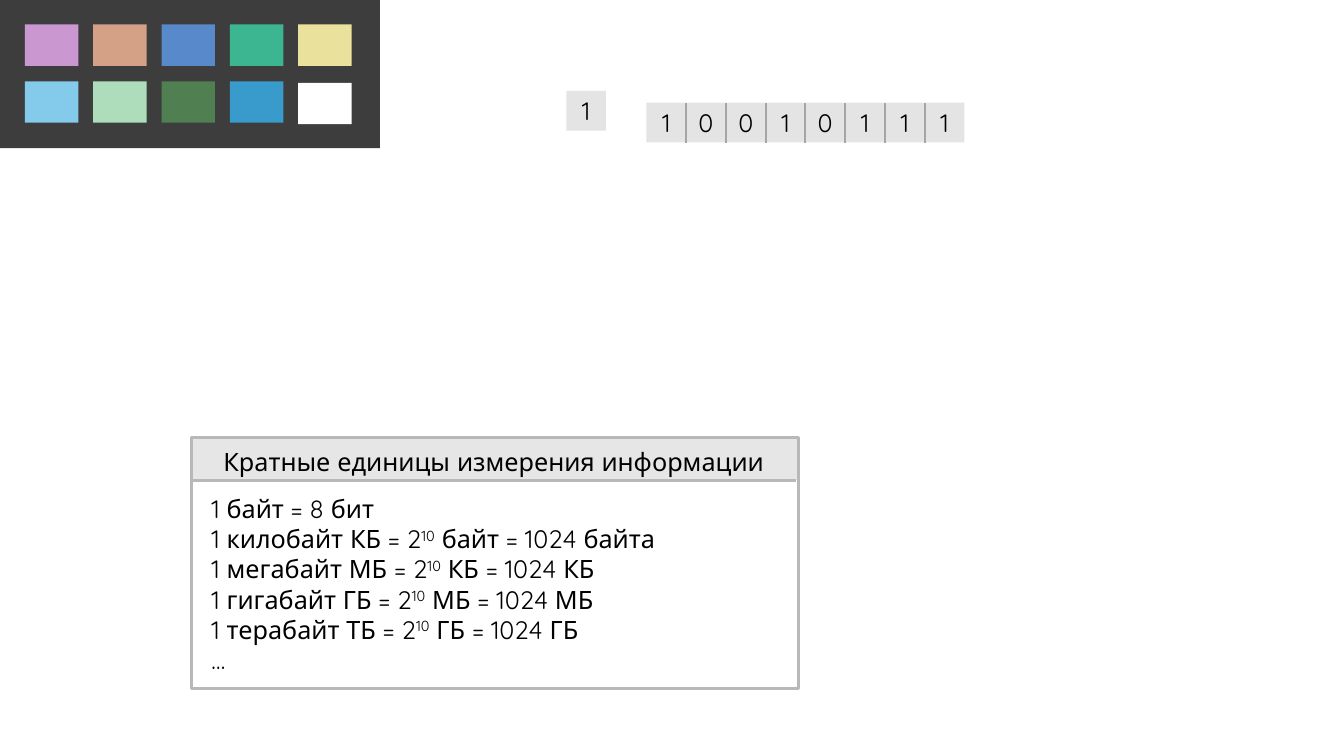
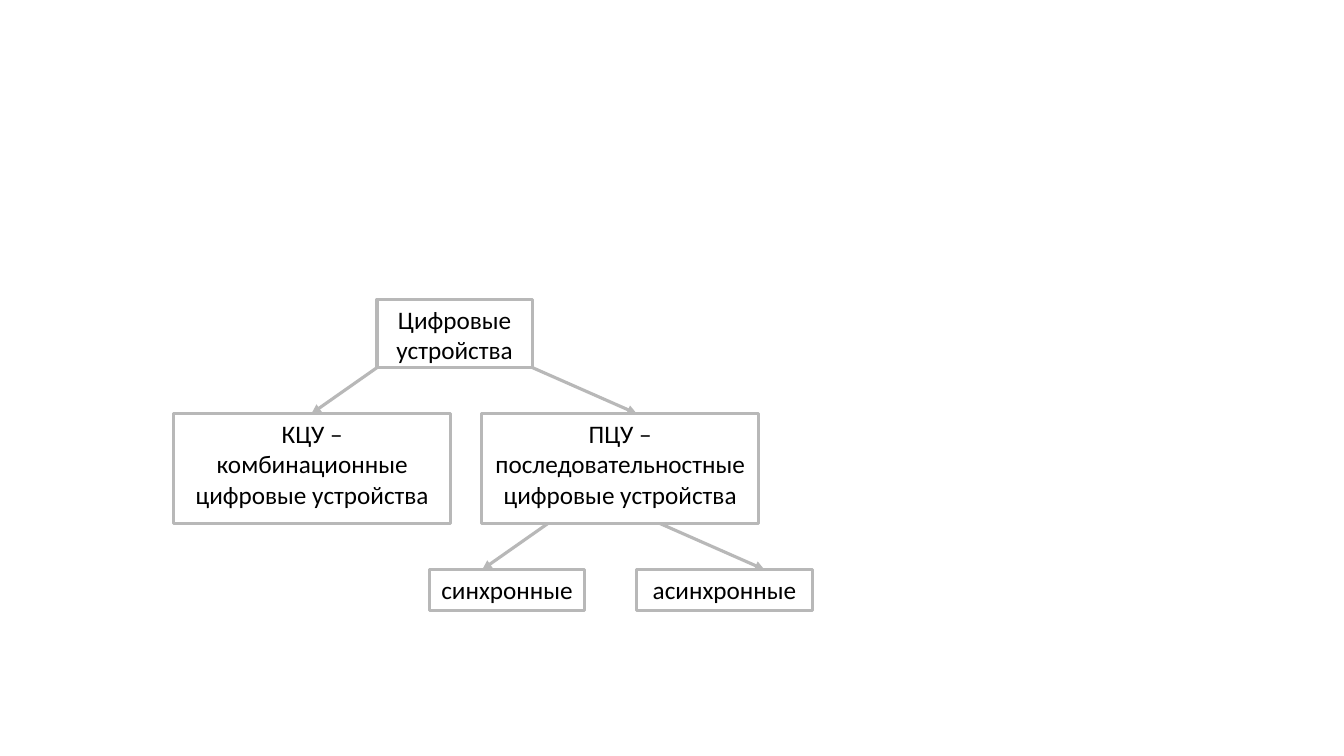
from lxml import etree
from pptx import Presentation
from pptx import util as u
from pptx.dml import color
from pptx.enum import shapes, text
from pptx.oxml import ns

COLORS = {
    "ink": "000000", "paper": "FFFFFF", "panel": "3D3D3D",
    "bit": "E4E4E4", "divider": "A5A5A5", "header": "E7E6E6", "frame": "B8B8B8",
    "lilac": "CA97D1", "clay": "D4A086", "blue": "5889CA", "mint": "3BB691",
    "sand": "EAE19C", "sky": "84CAEA", "pale": "AEDDBB", "green": "507F51",
    "azure": "389BCC",
}


def rgb(name):
    return color.RGBColor.from_string(COLORS[name])


class Sketch:
    """Holds the deck, its style and the slide being drawn."""

    size = 18
    stroke = 2.25

    def __init__(self):
        self.deck = Presentation()
        self.deck.slide_width, self.deck.slide_height = u.Pt(960), u.Pt(540)
        self.page = None
        self.face = None

    def new_page(self, face):
        self.page = self.deck.slides.add_slide(self.deck.slide_layouts[6])
        self.face = face

    def set_lines(self, frame, lines, align):
        """Fill a text frame; text between two ^ marks is superscript."""
        frame.word_wrap = True
        for number, line in enumerate(lines):
            para = frame.paragraphs[0] if number == 0 else frame.add_paragraph()
            para.alignment = align
            for index, piece in enumerate(line.split("^")):
                span = para.add_run()
                span.text = piece
                if index % 2:
                    span.font._element.set("baseline", "30000")
            para.font.size = u.Pt(self.size)
            para.font.name = self.face
            para.font.color.rgb = rgb("ink")

    def box(self, left, top, width, height, fill=None, line=None, label=None,
            anchor=text.MSO_ANCHOR.MIDDLE):
        box = self.page.shapes.add_shape(
            shapes.MSO_SHAPE.RECTANGLE,
            u.Pt(left), u.Pt(top), u.Pt(width), u.Pt(height))
        box.shadow.inherit = False
        if fill:
            box.fill.solid()
            box.fill.fore_color.rgb = rgb(fill)
        else:
            box.fill.background()
        if line:
            box.line.color.rgb = rgb(line)
            box.line.width = u.Pt(self.stroke)
        else:
            box.line.fill.background()
        if label:
            box.text_frame.vertical_anchor = anchor
            self.set_lines(box.text_frame, [label], text.PP_ALIGN.CENTER)

    def node(self, left, top, width, height, label):
        self.box(left, top, width, height, "paper", "frame", label,
                 text.MSO_ANCHOR.TOP)

    def text_block(self, left, top, width, height, lines,
                   align=text.PP_ALIGN.LEFT, indent=0):
        frame = self.page.shapes.add_textbox(
            u.Pt(left), u.Pt(top), u.Pt(width), u.Pt(height)).text_frame
        frame.margin_left = u.Pt(indent)
        frame.margin_top = frame.margin_right = frame.margin_bottom = 0
        frame.vertical_anchor = text.MSO_ANCHOR.MIDDLE
        self.set_lines(frame, lines, align)

    def line(self, x1, y1, x2, y2, stroke="frame", width=stroke, arrow=False):
        line = self.page.shapes.add_connector(
            shapes.MSO_CONNECTOR.STRAIGHT, u.Pt(x1), u.Pt(y1), u.Pt(x2), u.Pt(y2))
        line.line.color.rgb = rgb(stroke)
        line.line.width = u.Pt(width)
        if arrow:
            etree.SubElement(line.get_or_add_ln(), ns.qn("a:tailEnd"),
                             type="triangle")
        etree.SubElement(line.element.spPr, ns.qn("a:effectLst"))

    def fork(self, left, right, top, drop):
        """Two arrows spreading down to the children of a node."""
        for start, shift in ((left, -46.8), (right, 74.5)):
            self.line(start, top, start + shift, top + drop, arrow=True)


def draw_units(sketch):
    sketch.new_page("Quicksand")

    # Palette
    sketch.box(0, 0, 271.4, 105.8, "panel")
    palette = (
        ("lilac", "clay", "blue", "mint", "sand"),
        ("sky", "pale", "green", "azure", "paper"),
    )
    for row, names in enumerate(palette):
        for column, name in enumerate(names):
            top = 59.2 if name == "paper" else 17.5 + 40.6 * row
            sketch.box(17.8 + 48.8 * column, top, 38.2, 29.6, name)

    # One bit, then a byte with dividers between its bits
    cell, byte_left, byte_top = 28.4, 461.7, 73.4
    sketch.box(404.5, 64.9, cell, cell, "bit", label="1")
    for index, digit in enumerate("10010111"):
        sketch.box(byte_left + cell * index, byte_top, cell, cell, "bit",
                   label=digit)
    for index in range(1, 8):
        x = byte_left + cell * index
        sketch.line(x, byte_top, x, byte_top + cell, "divider", 1.5)

    # Table of units
    left, top, width, rule = 136.8, 312.4, 432, 343.3
    sketch.box(left + 0.7, top, width, 30.5, "header")
    sketch.box(left, top, 433.4, 179.2, line="frame")
    sketch.line(left + 0.7, rule, left + width, rule)
    sketch.text_block(left, 316, width, 27.4,
                      ["Кратные единицы измерения информации"],
                      text.PP_ALIGN.CENTER)
    sketch.text_block(left, rule, width, 147.6, [
        "1 байт = 8 бит",
        "1 килобайт КБ = 2^10^ байт = 1024 байта",
        "1 мегабайт МБ = 2^10^ КБ = 1024 КБ",
        "1 гигабайт ГБ = 2^10^ МБ = 1024 МБ",
        "1 терабайт ТБ = 2^10^ ГБ = 1024 ГБ",
        "…",
    ], indent=14.2)


def draw_devices(sketch):
    sketch.new_page("Calibri")

    # Device classes
    sketch.node(269.3, 213.8, 111, 48.8, "Цифровые устройства")
    sketch.node(124, 295.4, 198, 78.6, "КЦУ – комбинационные цифровые устройства")
    sketch.node(344, 295.4, 198, 78.6,
                "ПЦУ – последовательностные цифровые устройства")
    sketch.fork(269.3, 380.3, 262.6, 32.8)

    # Kinds of sequential devices
    sketch.node(306.7, 406.8, 111, 29.2, "синхронные")
    sketch.node(454.7, 406.8, 125.6, 29.2, "асинхронные")
    sketch.fork(391.3, 471.5, 374, 32.8)


def main():
    sketch = Sketch()
    draw_units(sketch)
    draw_devices(sketch)
    sketch.deck.save("out.pptx")


if __name__ == "__main__":
    main()
